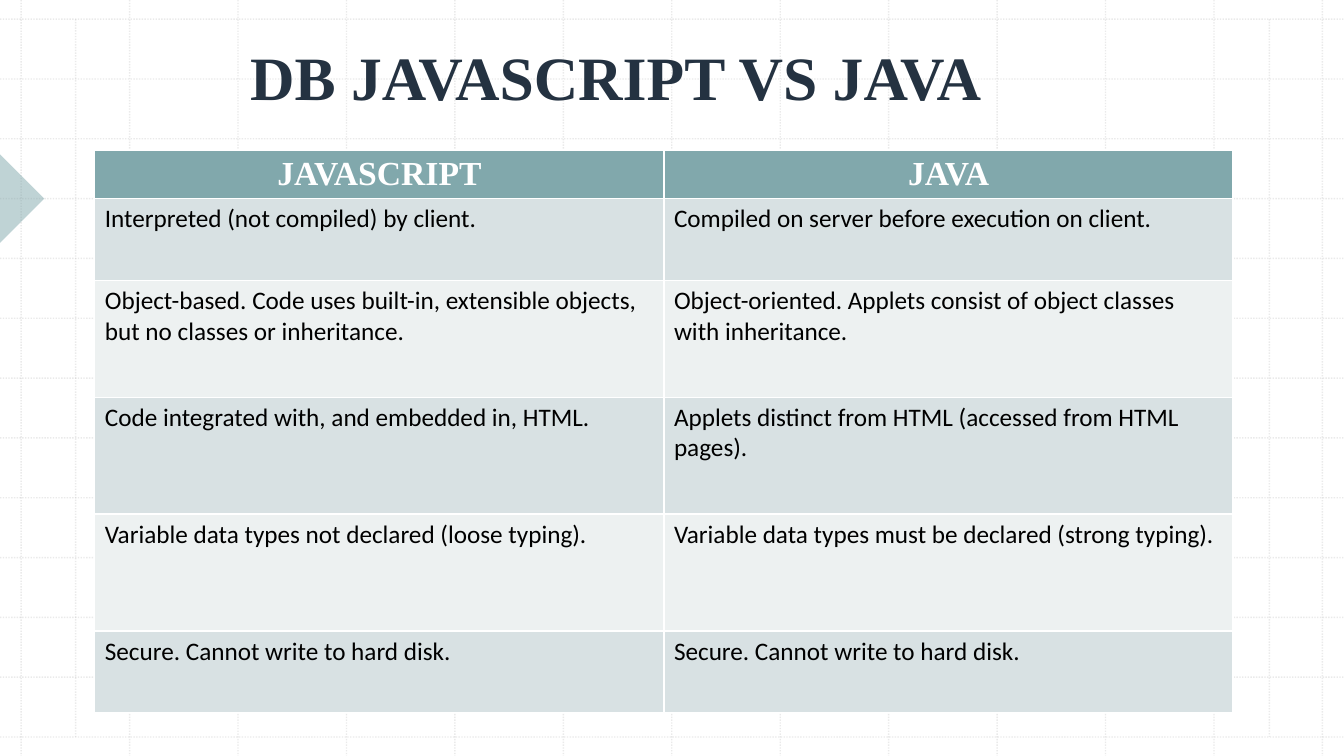
from lxml import etree
from pptx import Presentation
from pptx.dml.color import RGBColor
from pptx.enum.dml import MSO_LINE
from pptx.enum.shapes import MSO_CONNECTOR, MSO_SHAPE
from pptx.enum.text import MSO_ANCHOR, MSO_AUTO_SIZE, PP_ALIGN
from pptx.oxml.ns import qn
from pptx.util import Inches, Pt

STRAIGHT = MSO_CONNECTOR.STRAIGHT
DOTTED = MSO_LINE.ROUND_DOT
TRIANGLE = MSO_SHAPE.RIGHT_TRIANGLE
BOTTOM = MSO_ANCHOR.BOTTOM
NO_AUTOFIT = MSO_AUTO_SIZE.NONE
CENTER, LEFT = PP_ALIGN.CENTER, PP_ALIGN.LEFT
W, H = 13.33, 7.5
TEAL = "81A8AC"


def paint(color_format, color, alpha=100):
    """Set a colour, with an optional opacity in percent."""
    color_format.rgb = RGBColor.from_string(color)
    if alpha < 100:
        for clr in color_format._xFill.iter(qn("a:srgbClr")):
            etree.SubElement(clr, qn("a:alpha")).set("val", str(alpha * 1000))


def style_text(p, font, size, color, bold, align):
    p.alignment = align
    for r in p.runs:
        r.font.name = font
        r.font.size = Pt(size)
        r.font.bold = bold
        paint(r.font.color, color)


prs = Presentation()
prs.slide_width, prs.slide_height = Inches(W), Inches(H)
s = prs.slides.add_slide(prs.slide_layouts[5])

# Dotted background grid
grid = [(0.21 + i * 1.0755, 0, 0.21 + i * 1.0755, H) for i in range(13)]
grid += [(0, 0.19 + i * 0.5935, W, 0.19 + i * 0.5935) for i in range(13)]
grid += [(x, 0.19, x, 7.31) for x in (0.75, 12.59)]
for ends in grid:
    line = s.shapes.add_connector(STRAIGHT, *[Inches(v) for v in ends])
    line.line.width = Pt(1)
    line.line.fill.solid()
    paint(line.line.fill.fore_color, "BCBCBC", 30)
    line.line.dash_style = DOTTED
    etree.SubElement(line._element.spPr, qn("a:effectLst"))

# Arrow-like triangle at the left edge
marker = s.shapes.add_shape(TRIANGLE, Inches(-0.31), Inches(1.66), Inches(0.62), Inches(0.62))
marker.rotation = 225
marker.shadow.inherit = False
marker.line.fill.background()
marker.fill.solid()
paint(marker.fill.fore_color, TEAL, 50)

# Title, in front of the grid
title = s.shapes.title
s.shapes._spTree.append(title._element)
title.left, title.top = Inches(0.67), Inches(-0.33)
title.width, title.height = Inches(10.88), Inches(1.5)
tf = title.text_frame
tf.text = "DB JAVASCRIPT VS JAVA"
tf.vertical_anchor = BOTTOM
tf.auto_size = NO_AUTOFIT
style_text(tf.paragraphs[0], "Times New Roman", 44, "243241", True, CENTER)

# Comparison table
rows = [
    ("JAVASCRIPT", "JAVA"),
    ("Interpreted (not compiled) by client.",
     "Compiled on server before execution on client."),
    ("Object-based. Code uses built-in, extensible objects, but no classes or inheritance.",
     "Object-oriented. Applets consist of object classes with inheritance."),
    ("Code integrated with, and embedded in, HTML.",
     "Applets distinct from HTML (accessed from HTML pages)."),
    ("Variable data types not declared (loose typing).",
     "Variable data types must be declared (strong typing)."),
    ("Secure. Cannot write to hard disk.", "Secure. Cannot write to hard disk."),
]
heights = [0.48, 0.81, 1.16, 1.16, 1.16, 0.81]
table = s.shapes.add_table(len(rows), 2, Inches(0.94), Inches(1.49),
                           Inches(11.29), Inches(sum(heights))).table
for i, (texts, height) in enumerate(zip(rows, heights)):
    table.rows[i].height = Inches(height)
    for j, text in enumerate(texts):
        cell = table.cell(i, j)
        cell.text_frame.text = text
        cell.fill.solid()
        p = cell.text_frame.paragraphs[0]
        if i == 0:
            paint(cell.fill.fore_color, TEAL)
            style_text(p, "Times New Roman", 24, "FFFFFF", True, CENTER)
        else:
            paint(cell.fill.fore_color, "D8E1E3" if i % 2 else "EDF1F1")
            style_text(p, "Calibri", 18, "000000", False, LEFT)

prs.save("out.pptx")
